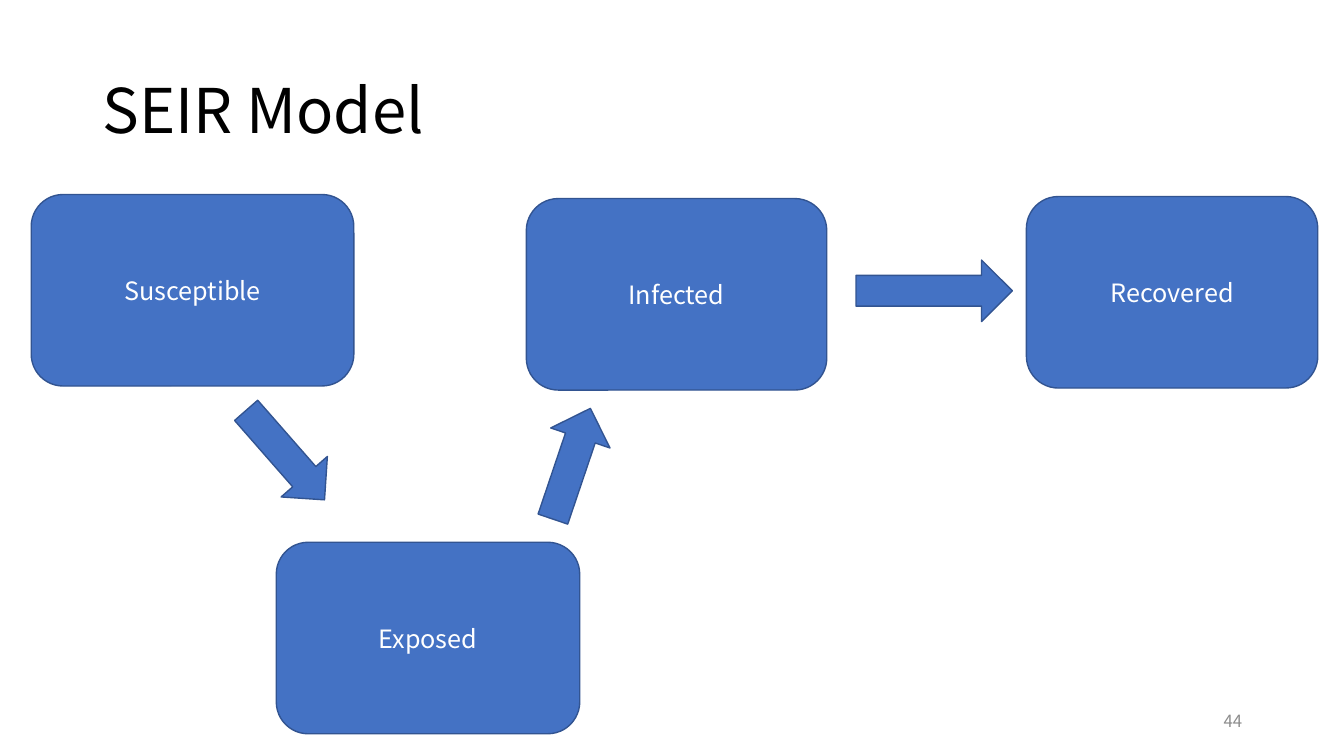
from pptx import Presentation
from pptx.dml.color import RGBColor
from pptx.enum.shapes import MSO_SHAPE as SHAPE
from pptx.enum.text import MSO_ANCHOR as ANCHOR, PP_ALIGN as ALIGN
from pptx.util import Inches, Pt

FONT = "Noto Sans CJK JP"
COLORS = {"fill": "4472C4", "line": "325491", "white": "FFFFFF",
          "title": "000000", "number": "8C8C8C"}
STAGE_HEIGHT = 1.9
STAGES = [  # name, left, top, width
    ("Susceptible", 0.31, 1.93, 3.2),
    ("Exposed", 2.74, 5.38, 3.01),
    ("Infected", 5.22, 1.97, 2.98),
    ("Recovered", 10.18, 1.95, 2.89),
]
ARROWS = [  # shape, left, top, width, height, rotation
    (SHAPE.RIGHT_ARROW, 2.24, 4.21, 1.18, 0.61, 48.8),
    (SHAPE.DOWN_ARROW, 5.36, 4.02, 0.62, 1.16, 198.7),
    (SHAPE.RIGHT_ARROW, 8.49, 2.58, 1.55, 0.61, 0),
]


def rgb(name):
    return RGBColor.from_string(COLORS[name])


def write(sp, text, size, color, align, spacing=1.0):
    tf = sp.text_frame
    tf.word_wrap = True
    tf.vertical_anchor = ANCHOR.MIDDLE
    p = tf.paragraphs[0]
    p.alignment = align
    p.line_spacing = spacing
    r = p.add_run()
    r.text = text
    for name, value in {"name": FONT, "size": Pt(size)}.items():
        setattr(r.font, name, value)
    r.font.color.rgb = rgb(color)


def add_text(s, box, *text_format):
    write(s.shapes.add_textbox(*map(Inches, box)), *text_format)


def add_block(s, kind, box):
    """Add a filled and outlined preset shape."""
    sp = s.shapes.add_shape(kind, *map(Inches, box))
    sp.shadow.inherit = False
    sp.fill.solid()
    sp.fill.fore_color.rgb = rgb("fill")
    sp.line.color.rgb = rgb("line")
    sp.line.width = Pt(1)
    return sp


def add_stage(s, name, left, top, width):
    sp = add_block(s, SHAPE.ROUNDED_RECTANGLE, (left, top, width, STAGE_HEIGHT))
    write(sp, name, 18, "white", ALIGN.CENTER)


def add_arrow(s, kind, left, top, width, height, rotation):
    sp = add_block(s, kind, (left, top, width, height))
    sp.rotation = rotation


def main():
    prs = Presentation()
    prs.slide_width, prs.slide_height = Inches(13.33), Inches(7.5)
    s = prs.slides.add_slide(prs.slide_layouts[6])
    add_text(s, (0.92, 0.4, 11.5, 1.45), "SEIR Model", 44, "title", ALIGN.LEFT, 0.9)
    for stage in STAGES:
        add_stage(s, *stage)
    for arrow in ARROWS:
        add_arrow(s, *arrow)
    add_text(s, (9.42, 6.95, 3, 0.4), "44", 12, "number", ALIGN.RIGHT)
    prs.save("out.pptx")


if __name__ == "__main__":
    main()
